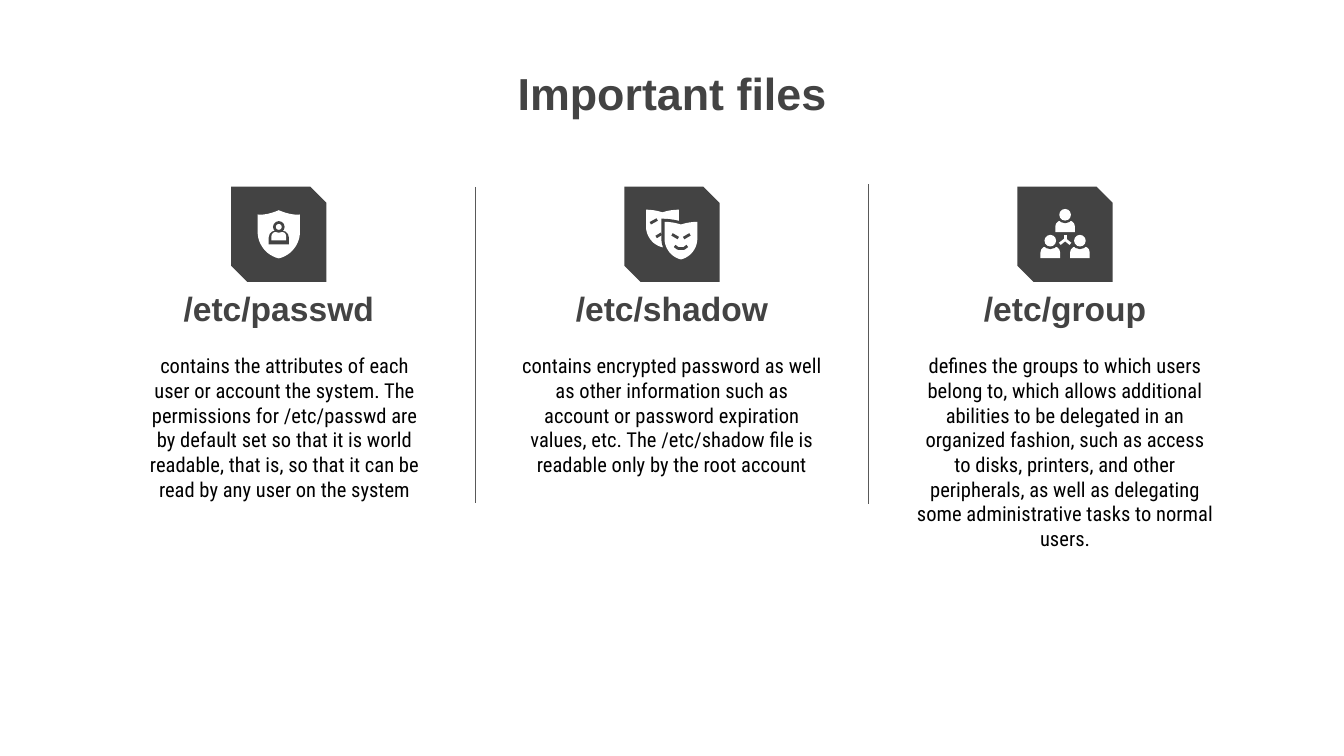
"""Build the slide that introduces three important account files."""
from dataclasses import dataclass
from itertools import pairwise

from lxml.etree import SubElement
from pptx import Presentation
from pptx.dml.color import RGBColor
from pptx.enum.shapes import MSO_CONNECTOR, MSO_SHAPE
from pptx.enum.text import MSO_ANCHOR, PP_ALIGN
from pptx.oxml.ns import qn
from pptx.util import Cm, Pt


@dataclass(frozen=True)
class Theme:
    """Hold the colours, fonts and type sizes."""
    dark: RGBColor = RGBColor(0x43, 0x43, 0x43)
    divider: RGBColor = RGBColor(0x59, 0x59, 0x59)
    white: RGBColor = RGBColor(0xFF, 0xFF, 0xFF)
    black: RGBColor = RGBColor(0, 0, 0)
    heading_font: str = "Arial"
    body_font: str = "Roboto Condensed"
    title_size: int = 24
    heading_size: int = 18
    body_size: int = 11


THEME = Theme()
SLIDE_WIDTH, SLIDE_HEIGHT = 25.4, 14.29
COLUMN_PITCH = 7.43
TILE_SIZE, TILE_CENTRE_Y = 1.8, 4.43


def add_text(slide, text, left, top, width, height, *, size, font,
             color, bold=False, anchor=MSO_ANCHOR.TOP):
    """Add a centred, wrapping text box measured in centimetres."""
    shape = slide.shapes.add_textbox(Cm(left), Cm(top), Cm(width), Cm(height))
    frame = shape.text_frame
    frame.word_wrap = True
    frame.vertical_anchor = anchor
    frame.margin_left = frame.margin_right = Cm(0.25)
    frame.margin_top = frame.margin_bottom = Cm(0.25)
    paragraph = frame.paragraphs[0]
    paragraph.text = text
    paragraph.alignment = PP_ALIGN.CENTER
    paragraph.font.size = Pt(size)
    paragraph.font.name = font
    paragraph.font.bold = bold
    paragraph.font.color.rgb = color


def paint(shape, color):
    """Give a shape a plain fill without line or shadow."""
    shape.shadow.inherit = False
    shape.fill.solid()
    shape.fill.fore_color.rgb = color
    shape.line.fill.background()


def add_centred(slide, kind, x, y, width, height, color):
    """Add a preset shape around a centre point."""
    shape = slide.shapes.add_shape(
        kind, Cm(x - width / 2), Cm(y - height / 2), Cm(width), Cm(height))
    paint(shape, color)
    return shape


def add_stroke(slide, points, color, width):
    """Join successive points with straight lines."""
    for start, end in pairwise(points):
        line = slide.shapes.add_connector(
            MSO_CONNECTOR.STRAIGHT, Cm(start[0]), Cm(start[1]), Cm(end[0]), Cm(end[1]))
        line.line.color.rgb = color
        line.line.width = Pt(width)
        SubElement(line._element.spPr, qn("a:effectLst"))


def curve(points, steps=12):
    """Return points along a cubic curve after its start."""
    weights = [((1 - t) ** 3, 3 * t * (1 - t) ** 2, 3 * t * t * (1 - t), t ** 3)
               for t in (step / steps for step in range(1, steps + 1))]
    return [tuple(sum(w * p[axis] for w, p in zip(weight, points)) for axis in (0, 1))
            for weight in weights]


def add_shield(slide, x, y, width, height, crown, color):
    """Add a pointed shield whose top centre is raised by crown."""
    half, rise = width / 2, height / 2
    shoulder = -rise + max(crown, 0)
    middle = shoulder - crown
    right = [(0, middle)]
    right += curve([(0, middle), (half / 3, middle + crown * 0.7),
                    (half * 0.7, shoulder + max(crown, 0) * 0.2), (half, shoulder)])
    right.append((half, -rise * 0.1))
    right += curve([right[-1], (half, rise * 0.4), (half * 0.6, rise * 0.88), (0, rise)])
    outline = right + [(-px, py) for px, py in reversed(right[1:-1])]
    points = [(Cm(x + px), Cm(y + py)) for px, py in outline]
    builder = slide.shapes.build_freeform(*points[0], scale=1.0)
    builder.add_line_segments(points[1:], close=True)
    paint(builder.convert_to_shape(), color)


def add_person(slide, x, y, head, body_width, body_height, gap, halo, front, back):
    """Add a head above rounded shoulders, with a halo between them."""
    body_y = y + head / 2 + gap + body_height / 2
    body = add_centred(slide, MSO_SHAPE.ROUND_2_SAME_RECTANGLE,
                       x, body_y, body_width, body_height, front)
    body.adjustments[0] = 0.5
    add_centred(slide, MSO_SHAPE.OVAL, x, y, halo, halo, back)
    add_centred(slide, MSO_SHAPE.OVAL, x, y, head, head, front)


def draw_account(slide, x, y):
    """Draw a shield that bears a person."""
    add_shield(slide, x, y, 0.8, 0.91, 0.08, THEME.white)
    badge = add_centred(slide, MSO_SHAPE.ROUND_2_SAME_RECTANGLE,
                        x, y + 0.06, 0.38, 0.26, THEME.dark)
    badge.adjustments[0] = 0.5
    add_person(slide, x, y - 0.14, 0.11, 0.28, 0.16, 0.04, 0.22,
               THEME.white, THEME.dark)


def draw_masks(slide, x, y):
    """Draw two overlapping theatre masks."""
    back_x, back_y = x - 0.18, y - 0.11
    front_x, front_y = x + 0.17, y + 0.12
    add_shield(slide, back_x, back_y, 0.62, 0.71, -0.05, THEME.white)
    add_shield(slide, front_x, front_y, 0.74, 0.83, -0.05, THEME.dark)
    add_shield(slide, front_x, front_y, 0.62, 0.71, -0.05, THEME.white)
    features = [
        (back_x, back_y, [(-0.23, -0.1), (-0.1, -0.17)]),
        (back_x, back_y, [(-0.12, 0.16), (-0.02, 0.1)]),
        (front_x, front_y, [(-0.17, -0.12), (-0.05, -0.05)]),
        (front_x, front_y, [(0.17, -0.12), (0.05, -0.05)]),
        (front_x, front_y, [(-0.12, 0.1), (-0.05, 0.15), (0.05, 0.15), (0.12, 0.1)]),
    ]
    for centre_x, centre_y, points in features:
        add_stroke(slide, [(centre_x + px, centre_y + py) for px, py in points],
                   THEME.dark, 1.5)


def draw_group(slide, x, y):
    """Draw three linked people."""
    for dx, dy in [(0, -0.37), (-0.28, 0.12), (0.28, 0.12)]:
        add_person(slide, x + dx, y + dy, 0.22, 0.37, 0.22, 0, 0.32,
                   THEME.white, THEME.dark)
    for side in (-1, 1):
        add_stroke(slide, [(x, y + 0.01), (x, y + 0.1), (x + side * 0.1, y + 0.18)],
                   THEME.white, 1.5)


def add_column(slide, x, heading, body, body_x, body_width, draw_icon):
    """Add one file's tile, icon, heading and description."""
    tile = add_centred(slide, MSO_SHAPE.SNIP_2_DIAG_RECTANGLE,
                       x, TILE_CENTRE_Y, TILE_SIZE, TILE_SIZE, THEME.dark)
    tile.adjustments[0], tile.adjustments[1] = 0, 0.17
    draw_icon(slide, x, TILE_CENTRE_Y)
    add_text(slide, heading, x - 3.71, 5.26, 7.42, 1.19, size=THEME.heading_size,
             font=THEME.heading_font, color=THEME.dark, bold=True,
             anchor=MSO_ANCHOR.BOTTOM)
    add_text(slide, body, body_x - body_width / 2, 6.43, body_width, 3.86,
             size=THEME.body_size, font=THEME.body_font, color=THEME.black)


def main():
    """Build and save the presentation."""
    presentation = Presentation()
    presentation.slide_width = Cm(SLIDE_WIDTH)
    presentation.slide_height = Cm(SLIDE_HEIGHT)
    slide = presentation.slides.add_slide(presentation.slide_layouts[6])
    centre = SLIDE_WIDTH / 2
    add_text(slide, "Important files", centre - 7.24, 0.99, 14.48, 2.62,
             size=THEME.title_size, font=THEME.heading_font,
             color=THEME.dark, bold=True)
    columns = [
        ("/etc/passwd", "contains the attributes of each user or account the system. "
         "The permissions for /etc/passwd are by default set so that it is world "
         "readable, that is, so that it can be read by any user on the system",
         0.11, 5.69, draw_account),
        ("/etc/shadow", "contains encrypted password as well as other information such "
         "as account or password expiration values, etc. The /etc/shadow file is "
         "readable only by the root account", 0, 6.17, draw_masks),
        ("/etc/group", "defines the groups to which users belong to, which allows "
         "additional abilities to be delegated in an organized fashion, such as access "
         "to disks, printers, and other peripherals, as well as delegating some "
         "administrative tasks to normal users.", 0, 6.17, draw_group),
    ]
    for index, (heading, body, shift, width, draw_icon) in enumerate(columns):
        x = centre + (index - 1) * COLUMN_PITCH
        add_column(slide, x, heading, body, x + shift, width, draw_icon)
    for side, top, bottom in [(-1, 3.53, 9.5), (1, 3.48, 9.53)]:
        x = centre + side * COLUMN_PITCH / 2
        add_stroke(slide, [(x, top), (x, bottom)], THEME.divider, 0.75)
    presentation.save("out.pptx")


if __name__ == "__main__":
    main()
